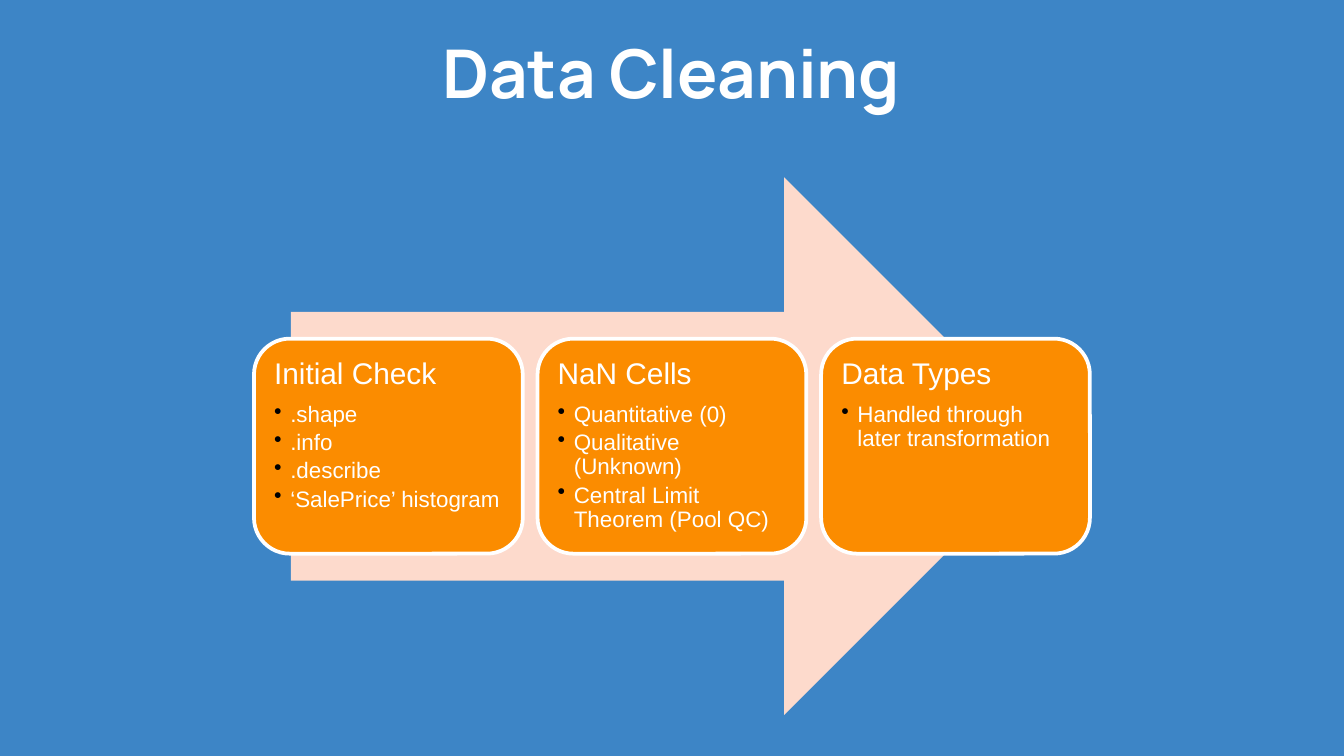
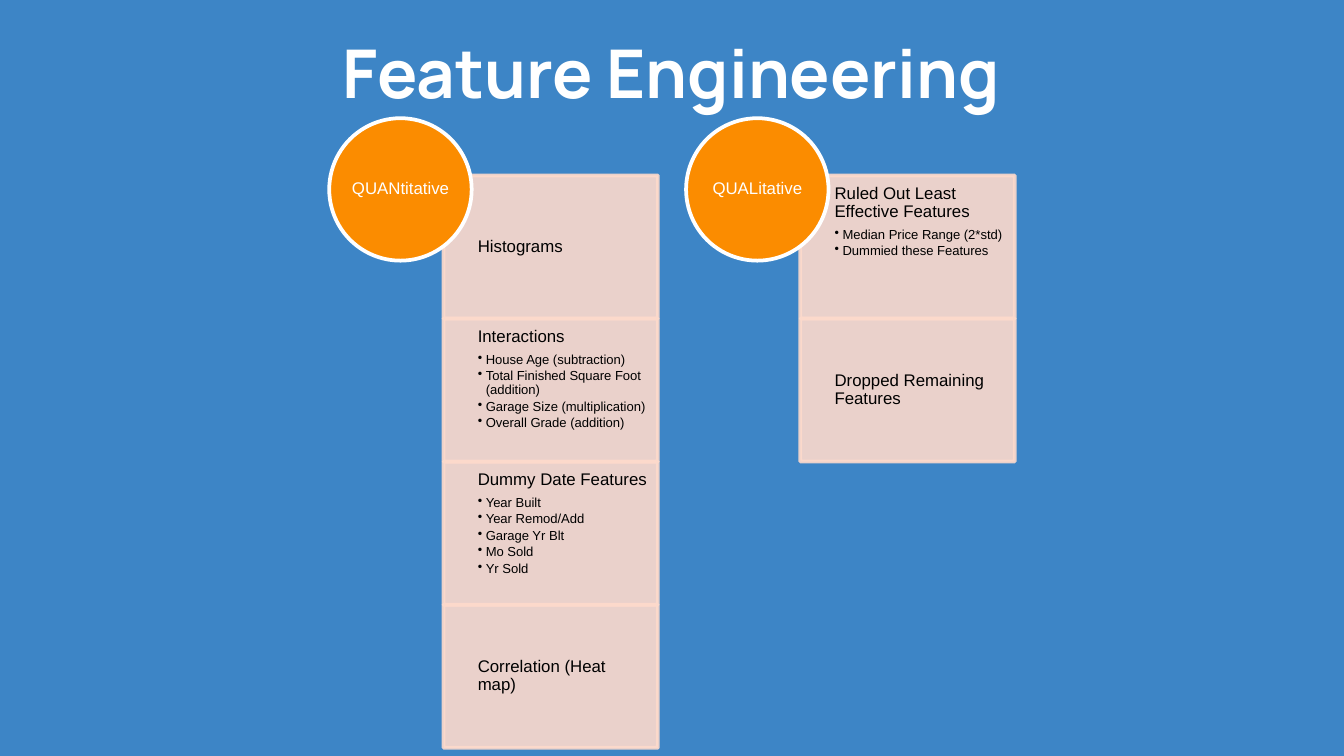
from dataclasses import dataclass

from lxml.etree import SubElement
from pptx import Presentation
from pptx.dml.color import RGBColor
from pptx.enum.shapes import MSO_SHAPE
from pptx.enum.text import MSO_ANCHOR, PP_ALIGN
from pptx.oxml.ns import qn
from pptx.util import Emu, Pt

PX = 4572  # EMU per px, 200 px to the inch


def px(n):
    return Emu(n * PX)


def rgb(color):
    return RGBColor.from_string(color)


@dataclass(frozen=True)
class Theme:
    blue: str = "3D85C6"
    orange: str = "FB8C00"
    peach: str = "FDDACC"
    white: str = "FFFFFF"
    black: str = "000000"
    title_font: str = "Manrope"
    body_font: str = "Arial"
    title: int = 36
    card: int = 16
    card_item: int = 12
    cell: int = 9
    cell_item: int = 7
    border: int = 2


def add_text(p, text, *, size, color, font, bold=False, align=PP_ALIGN.LEFT,
             line=None, after=0):
    p.alignment = align
    p.space_after = Pt(after)
    if line:
        p.line_spacing = line
    r = p.add_run()
    r.text = text
    r.font.size = Pt(size)
    r.font.name = font
    r.font.bold = bold
    r.font.color.rgb = rgb(color)


def add_bullet(p, indent, color):
    p.level = 1
    pPr = p._p.get_or_add_pPr()
    pPr.set("marL", str(px(indent)))
    pPr.set("indent", str(-px(indent)))
    SubElement(SubElement(pPr, qn("a:buClr")), qn("a:srgbClr"), val=color)
    SubElement(pPr, qn("a:buChar"), char="•")


class Deck:
    def __init__(self, theme):
        self.t = theme
        self.prs = Presentation()
        self.prs.slide_width, self.prs.slide_height = px(2000), px(1125)

    def slide(self):
        """Start a slide; its diagram goes into one group."""
        self.s = self.prs.slides.add_slide(self.prs.slide_layouts[6])
        self.s.background.fill.solid()
        self.s.background.fill.fore_color.rgb = rgb(self.t.blue)
        self.diagram = self.s.shapes.add_group_shape().shapes

    def shape(self, kind, x, y, w, h, fill, line=None, opacity=None):
        sp = self.diagram.add_shape(kind, px(x), px(y), px(w), px(h))
        sp.shadow.inherit = False
        sp.fill.solid()
        sp.fill.fore_color.rgb = rgb(fill)
        if line:
            sp.line.color.rgb = rgb(line)
            sp.line.width = Pt(self.t.border)
        else:
            sp.line.fill.background()
        if opacity:
            for clr in sp.element.iter(qn("a:srgbClr")):
                SubElement(clr, qn("a:alpha"), val=str(opacity * 1000))

    def frame(self, shapes, x, y, w, h, inset, left=None, anchor=MSO_ANCHOR.TOP):
        """Add a wrapping text box and return its text frame."""
        tf = shapes.add_textbox(px(x), px(y), px(w), px(h)).text_frame
        tf.word_wrap = True
        tf.vertical_anchor = anchor
        tf.margin_top = tf.margin_right = tf.margin_bottom = px(inset)
        tf.margin_left = px(inset if left is None else left)
        return tf

    def title(self, text):
        tf = self.frame(self.s.shapes, 18, 26, 1962, 168, 20)
        add_text(tf.paragraphs[0], text, size=self.t.title, color=self.t.white,
                 font=self.t.title_font, bold=True, align=PP_ALIGN.CENTER, after=16)

    def outline(self, tf, head, items=(), *, size, color, item_size=0, indent=0,
                align=PP_ALIGN.LEFT):
        """Write a heading with bulleted items below it."""
        style = dict(color=color, font=self.t.body_font, line=0.9, align=align)
        add_text(tf.paragraphs[0], head, size=size, after=round(size * 0.4, 1), **style)
        for item in items:
            p = tf.add_paragraph()
            add_text(p, item, size=item_size, after=round(item_size * 0.18, 1), **style)
            add_bullet(p, indent, self.t.black)

    def card(self, x, y, w, h, head, items):
        self.shape(MSO_SHAPE.ROUNDED_RECTANGLE, x, y, w, h, self.t.orange, self.t.white)
        tf = self.frame(self.diagram, x + 16, y + 16, w - 32, h - 32, 14)
        self.outline(tf, head, items, size=self.t.card, color=self.t.white,
                     item_size=self.t.card_item, indent=24)

    def cell(self, x, y, w, h, head, items):
        self.shape(MSO_SHAPE.RECTANGLE, x, y, w, h, self.t.peach, self.t.peach, 90)
        anchor = MSO_ANCHOR.TOP if items else MSO_ANCHOR.MIDDLE
        tf = self.frame(self.diagram, x + 51, y, w - 51, h, 14, left=0, anchor=anchor)
        self.outline(tf, head, items, size=self.t.cell, color=self.t.black,
                     item_size=self.t.cell_item, indent=12)

    def badge(self, x, y, d, text):
        self.shape(MSO_SHAPE.OVAL, x, y, d, d, self.t.orange, self.t.white)
        tf = self.frame(self.diagram, x + 31, y + 31, d - 62, d - 62, 0,
                        anchor=MSO_ANCHOR.MIDDLE)
        self.outline(tf, text, size=self.t.cell, color=self.t.white,
                     align=PP_ALIGN.CENTER)


CLEANING_STEPS = [
    ("Initial Check", [".shape", ".info", ".describe", "‘SalePrice’ histogram"]),
    ("NaN Cells", ["Quantitative (0)", "Qualitative (Unknown)",
                   "Central Limit Theorem (Pool QC)"]),
    ("Data Types", ["Handled through later transformation"]),
]

FEATURE_GROUPS = [
    ("QUANtitative", [
        ("Histograms", []),
        ("Interactions", ["House Age (subtraction)",
                          "Total Finished Square Foot (addition)",
                          "Garage Size (multiplication)",
                          "Overall Grade (addition)"]),
        ("Dummy Date Features", ["Year Built", "Year Remod/Add", "Garage Yr Blt",
                                 "Mo Sold", "Yr Sold"]),
        ("Correlation (Heat map)", []),
    ]),
    ("QUALitative", [
        ("Ruled Out Least Effective Features", ["Median Price Range (2*std)",
                                                "Dummied these Features"]),
        ("Dropped Remaining Features", []),
    ]),
]


def data_cleaning(deck):
    deck.slide()
    deck.shape(MSO_SHAPE.RIGHT_ARROW, 433, 264, 1134, 800, deck.t.peach)
    for i, (head, items) in enumerate(CLEANING_STEPS):
        deck.card(378 + 422 * i, 504, 400, 320, head, items)
    deck.title("Data Cleaning")


def feature_engineering(deck):
    deck.slide()
    row = 213
    for i, (name, cells) in enumerate(FEATURE_GROUPS):
        x = 660 + 531 * i
        for j, (head, items) in enumerate(cells):
            deck.cell(x, 261 + row * j, 319, row, head, items)
        deck.badge(x - 170, 176, 212, name)
    deck.title("Feature Engineering")


def main():
    deck = Deck(Theme())
    data_cleaning(deck)
    feature_engineering(deck)
    deck.prs.save("out.pptx")


if __name__ == "__main__":
    main()
